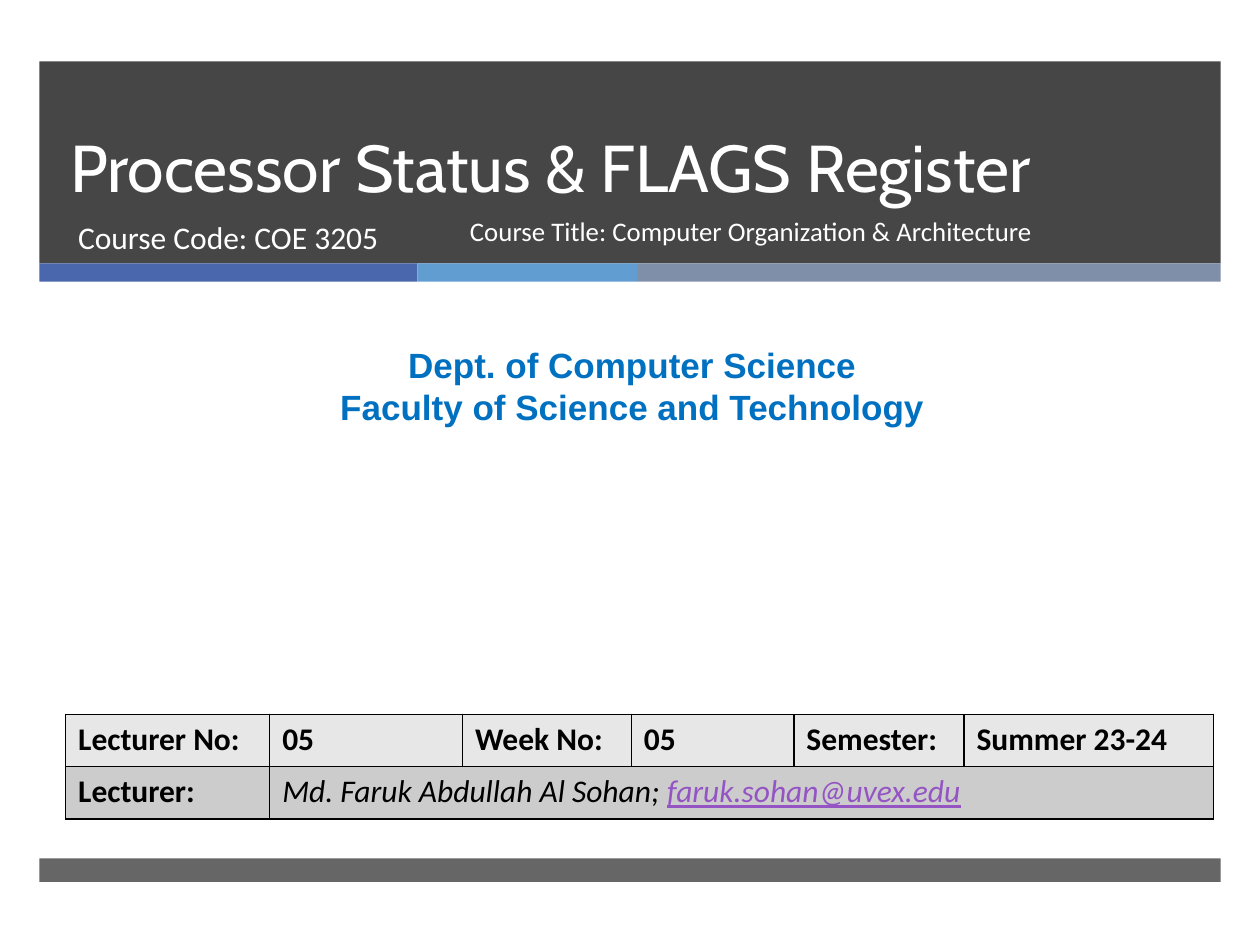
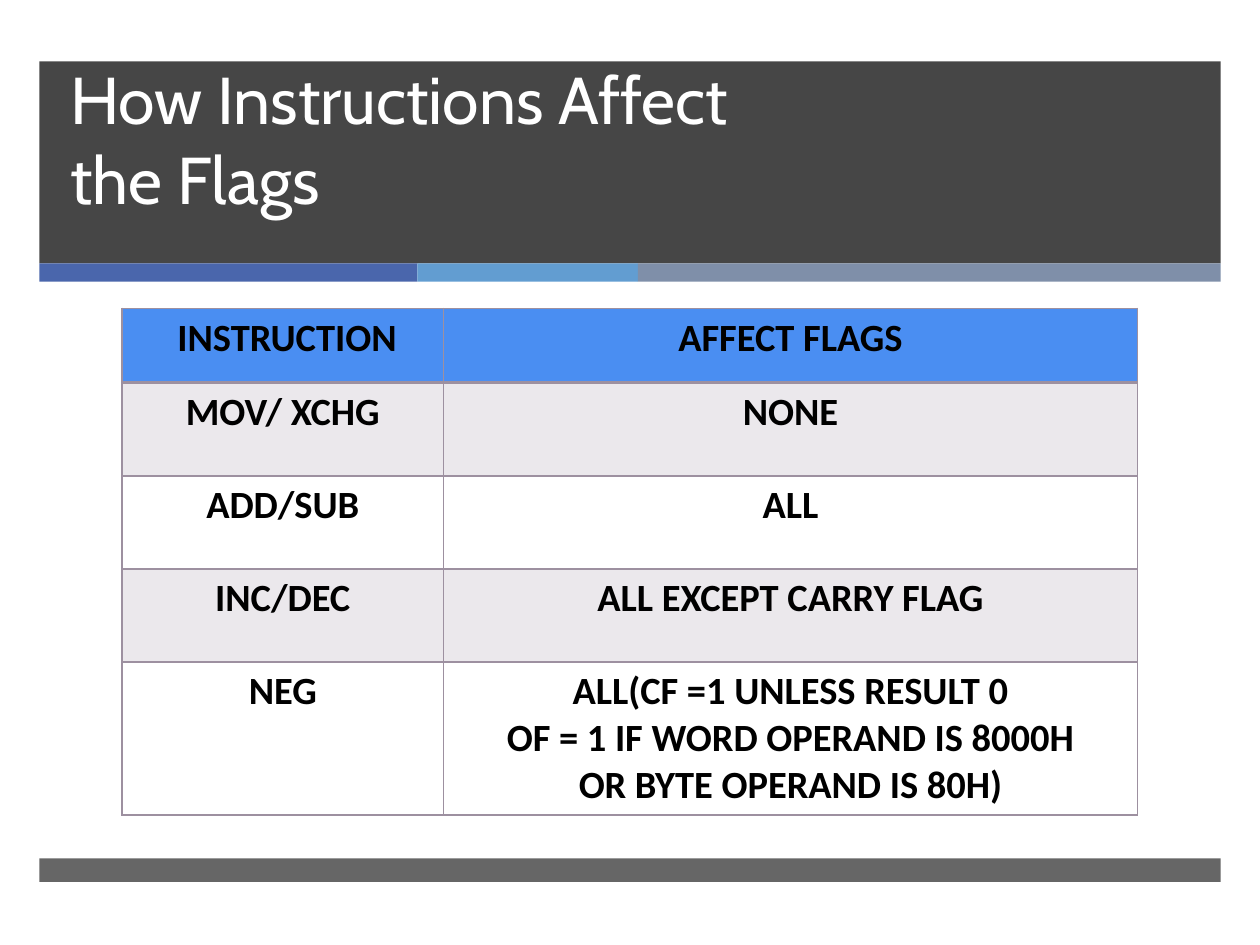
from dataclasses import dataclass, replace
from typing import Optional

from pptx import Presentation
from pptx.dml.color import RGBColor
from pptx.enum.shapes import MSO_SHAPE
from pptx.enum.text import MSO_ANCHOR, MSO_AUTO_SIZE, PP_ALIGN
from pptx.oxml import parse_xml
from pptx.oxml.ns import nsdecls, qn
from pptx.util import Pt

INK = "262626"
WHITE = "FFFFFF"
BLACK = "000000"
MAUVE = "9D90A0"
BAND_LEFT, BAND_WIDTH = 22.5, 675


@dataclass(frozen=True)
class Style:
    size: float
    color: str
    font: str = "Calibri"
    bold: bool = False
    italic: bool = False
    underline: bool = False


@dataclass(frozen=True)
class Fill:
    color: str
    opacity: int = 100


@dataclass(frozen=True)
class Box:
    left: float
    top: float
    width: float
    height: float

    def points(self) -> tuple:
        return Pt(self.left), Pt(self.top), Pt(self.width), Pt(self.height)


@dataclass(frozen=True)
class Band:
    box: Box
    fill: Fill


@dataclass(frozen=True)
class Grid:
    left: float
    top: float
    columns: list
    rows: list
    texts: list
    fills: list
    style: Style
    border: str
    align: PP_ALIGN = PP_ALIGN.LEFT
    header_rule: float = 1


TITLE = Style(37.8, WHITE, "Cabin")
COURSE_CODE = Style(18, WHITE)
COURSE_TITLE = Style(15.3, WHITE)
DEPARTMENT = Style(20, "0070C0", "Arial", bold=True)
LECTURE = Style(18, BLACK, bold=True)
LECTURER = replace(LECTURE, bold=False, italic=True)
EMAIL = replace(LECTURER, color="9454C3", underline=True)
FLAGS = Style(22, BLACK, bold=True)

ACCENTS = [(216, "4A66AC"), (126, "629DD1"), (333, "7F8FA9")]


def rgb(color: str) -> RGBColor:
    return RGBColor.from_string(color)


def apply_fill(target, xml, fill: Optional[Fill]) -> None:
    """Fill a shape or cell; xml is the element that holds the fill."""
    if fill is None:
        target.fill.background()
        return
    target.fill.solid()
    target.fill.fore_color.rgb = rgb(fill.color)
    if fill.opacity < 100:
        color = next(xml.iter(qn("a:srgbClr")))
        color.append(parse_xml(f'<a:alpha {nsdecls("a")} val="{fill.opacity * 1000}"/>'))


def format_run(run, style: Style) -> None:
    font = run.font
    font.name, font.size = style.font, Pt(style.size)
    font.bold, font.italic, font.underline = style.bold, style.italic, style.underline
    font.color.rgb = rgb(style.color)


def write(frame, text: str, style: Style, align=PP_ALIGN.LEFT, spacing=None) -> None:
    frame.text = text
    for paragraph in frame.paragraphs:
        paragraph.alignment = align
        paragraph.line_spacing = spacing
        for run in paragraph.runs:
            format_run(run, style)


def add_text(slide, box: Box, text: str, style: Style, align=PP_ALIGN.LEFT, spacing=None) -> None:
    frame = slide.shapes.add_textbox(*box.points()).text_frame
    frame.word_wrap = True
    write(frame, text, style, align, spacing)


def theme_bands() -> list:
    bands = [Band(Box(BAND_LEFT, 35, BAND_WIDTH, 115.5), Fill(INK, 85))]
    left = BAND_LEFT
    for width, color in ACCENTS:
        bands.append(Band(Box(left, 150.5, width, 10.5), Fill(color)))
        left += width
    bands.append(Band(Box(BAND_LEFT, 490.5, BAND_WIDTH, 13.5), Fill(INK, 70)))
    return bands


def move_bands_to_layout(slide, layout) -> None:
    """Draw the bands on a slide, then hand them to the layout all slides share."""
    for band in theme_bands():
        shape = slide.shapes.add_shape(MSO_SHAPE.RECTANGLE, *band.box.points())
        shape.shadow.inherit = False
        apply_fill(shape, shape.element, band.fill)
        shape.line.fill.background()
        layout.shapes.element.append(shape.element)


def set_title(slide, text: str, top: float) -> None:
    title = slide.shapes.title
    title.left, title.top, title.width, title.height = Box(33, top, 615, 85.7).points()
    frame = title.text_frame
    frame.word_wrap = True
    frame.auto_size = MSO_AUTO_SIZE.NONE
    frame.vertical_anchor = MSO_ANCHOR.BOTTOM
    write(frame, text, TITLE, spacing=Pt(46))


def set_borders(cell_properties, color: str, top: float, bottom: float) -> None:
    sides = {"lnL": 1, "lnR": 1, "lnT": top, "lnB": bottom}
    for index, (side, width) in enumerate(sides.items()):
        cell_properties.insert(index, parse_xml(
            f'<a:{side} {nsdecls("a")} w="{Pt(width)}"><a:solidFill>'
            f'<a:srgbClr val="{color}"/></a:solidFill></a:{side}>'))


def add_grid(slide, grid: Grid):
    box = Box(grid.left, grid.top, sum(grid.columns), sum(grid.rows))
    table = slide.shapes.add_table(len(grid.rows), len(grid.columns), *box.points()).table
    table.first_row = table.horz_banding = False
    for column, width in zip(table.columns, grid.columns):
        column.width = Pt(width)
    for r, (row, height) in enumerate(zip(table.rows, grid.rows)):
        row.height = Pt(height)
        top = grid.header_rule if r == 1 else 1
        bottom = grid.header_rule if r == 0 else 1
        for cell, text in zip(row.cells, grid.texts[r]):
            properties = cell._tc.get_or_add_tcPr()
            apply_fill(cell, properties, grid.fills[r])
            set_borders(properties, grid.border, top, bottom)
            write(cell.text_frame, text, grid.style, grid.align)
    return table


def build_cover(slide) -> None:
    set_title(slide, "Processor Status & FLAGS Register", 35.3)
    add_text(slide, Box(37.5, 121, 219.5, 38), "Course Code: COE 3205", COURSE_CODE)
    add_text(slide, Box(6, 193, 710.5, 55.5),
             "Dept. of Computer Science\nFaculty of Science and Technology",
             DEPARTMENT, PP_ALIGN.CENTER)
    table = add_grid(slide, Grid(
        left=37.5, top=408.2,
        columns=[116.6, 110.2, 96.5, 92.9, 97.2, 142.6], rows=[29.9] * 2,
        texts=[["Lecturer No:", "05", "Week No:", "05", "Semester:", "Summer 23-24"],
               ["Lecturer:"] + [""] * 5],
        fills=[Fill("E7E7E7"), Fill("CCCCCC")],
        style=LECTURE, border=BLACK))
    lecturer = table.cell(1, 1)
    lecturer.merge(table.cell(1, 5))
    write(lecturer.text_frame, "Md. Faruk Abdullah Al Sohan; ", LECTURER)
    email = lecturer.text_frame.paragraphs[0].add_run()
    email.text = "faruk.sohan@uvex.edu"
    format_run(email, EMAIL)
    add_text(slide, Box(261.5, 121, 337.5, 38),
             "Course Title: Computer Organization & Architecture", COURSE_TITLE, spacing=0.9)


def build_flags(slide) -> None:
    set_title(slide, "How Instructions Affect \vthe Flags", 42.5)
    tint = Fill(MAUVE, 20)
    add_grid(slide, Grid(
        left=69.8, top=176.2, columns=[183.6, 396.7], rows=[42.5, 53.2, 53.2, 53.2, 85],
        texts=[[" INSTRUCTION", "AFFECT FLAGS"],
               ["MOV/ XCHG", "NONE"],
               ["ADD/SUB", "ALL"],
               ["INC/DEC", "ALL EXCEPT CARRY FLAG"],
               ["NEG", "ALL(CF =1 UNLESS RESULT 0\n"
                       "OF = 1 IF WORD OPERAND IS 8000H\n"
                       "OR BYTE OPERAND IS 80H)"]],
        fills=[Fill("4A8EF2"), tint, None, tint, None],
        style=FLAGS, border=MAUVE, align=PP_ALIGN.CENTER, header_rule=2))


def main() -> None:
    deck = Presentation()
    deck.slide_width, deck.slide_height = Pt(720), Pt(540)
    title_only = deck.slide_layouts[5]
    cover = deck.slides.add_slide(title_only)
    move_bands_to_layout(cover, title_only)
    build_cover(cover)
    build_flags(deck.slides.add_slide(title_only))
    deck.save("out.pptx")


if __name__ == "__main__":
    main()
